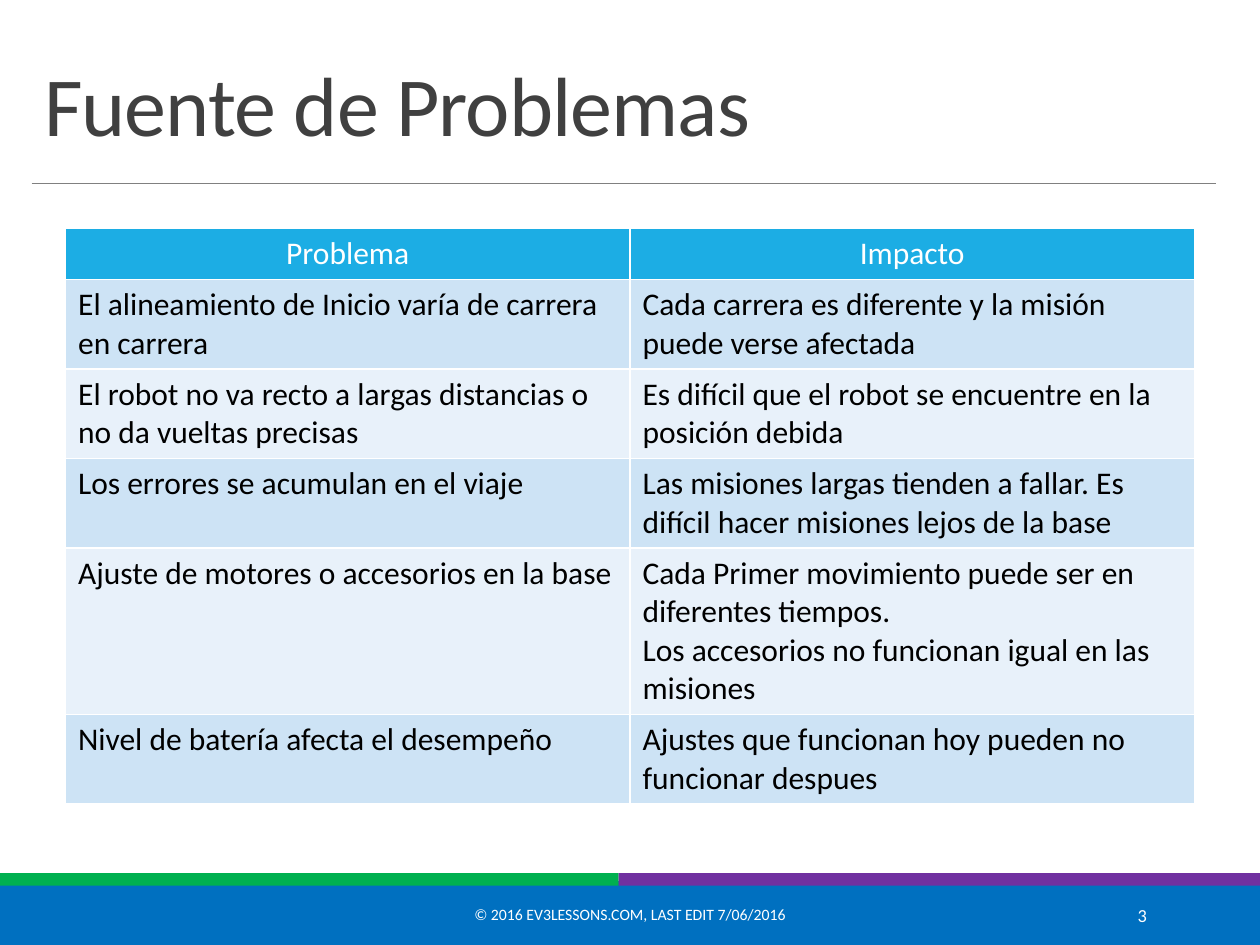
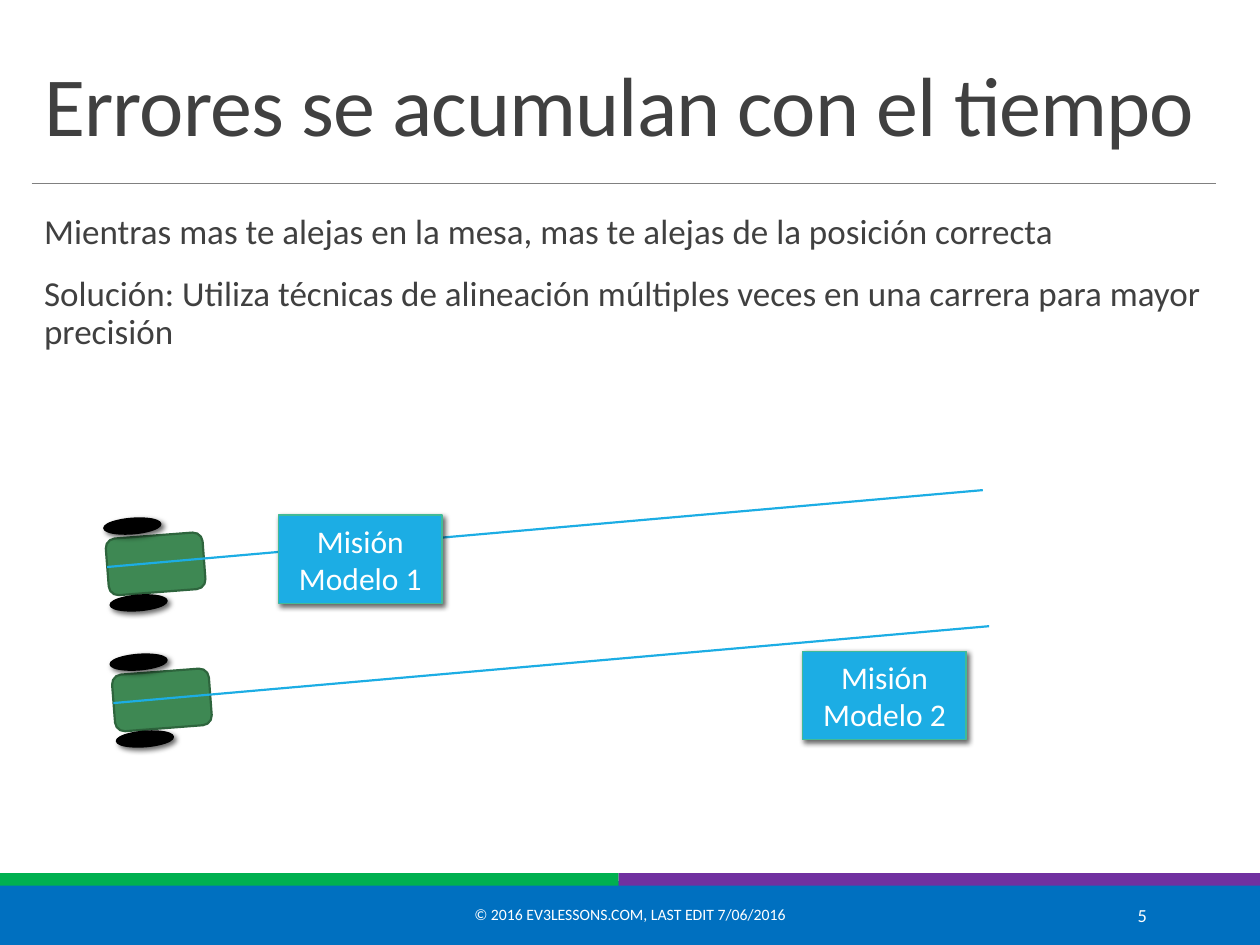
from typing import NamedTuple

from lxml import etree
from pptx import Presentation
from pptx.dml.color import RGBColor
from pptx.enum.shapes import MSO_CONNECTOR, MSO_SHAPE
from pptx.enum.text import MSO_ANCHOR, MSO_AUTO_SIZE, PP_ALIGN
from pptx.oxml.ns import qn
from pptx.util import Inches, Pt

RECT, ROUNDED, OVAL = MSO_SHAPE.RECTANGLE, MSO_SHAPE.ROUNDED_RECTANGLE, MSO_SHAPE.OVAL
STRAIGHT = MSO_CONNECTOR.STRAIGHT
LEFT, CENTER, RIGHT = PP_ALIGN.LEFT, PP_ALIGN.CENTER, PP_ALIGN.RIGHT
TOP, MIDDLE, BOTTOM = MSO_ANCHOR.TOP, MSO_ANCHOR.MIDDLE, MSO_ANCHOR.BOTTOM

WHITE = RGBColor(0xFF, 0xFF, 0xFF)
BLACK = RGBColor(0x00, 0x00, 0x00)
INK = RGBColor(0x40, 0x40, 0x40)
RULE_GREY = RGBColor(0x80, 0x80, 0x80)
FOOTER_BLUE = RGBColor(0x00, 0x70, 0xC0)
BAND_GREEN = RGBColor(0x00, 0xB0, 0x50)
BAND_PURPLE = RGBColor(0x70, 0x30, 0xA0)
SKY = RGBColor(0x1C, 0xAD, 0xE4)
ROW_DARK = RGBColor(0xCD, 0xE3, 0xF5)
ROW_LIGHT = RGBColor(0xE8, 0xF1, 0xFA)
ROBOT_GREEN = RGBColor(0x3E, 0x88, 0x53)
ROBOT_EDGE = RGBColor(0x2E, 0x65, 0x3D)
MISSION_EDGE = RGBColor(0x42, 0xBA, 0x97)

FONT = "Calibri"
COLUMNS, ROWS = 100, 75  # slide grid
CELL = Inches(0.1)
TITLE_ONLY, TITLE_AND_BODY = 5, 1
CREDIT = "© 2016 EV3LESSONS.COM, LAST EDIT 7/06/2016"


class Box(NamedTuple):
    """An area of the slide, in grid columns and rows."""
    left: float
    top: float
    width: float
    height: float

    def inner(self, left, top, width, height):
        return Box(self.left + left, self.top + top, width, height)

    def emu(self):
        return [round(cells * CELL) for cells in self]


PAGE = Box(0, 0, COLUMNS, ROWS)
TITLE_BOX = Box(2.5, 3.1, 94, 9.6)
BODY_BOX = Box(2.5, 16.5, 94, 50.9)
TABLE_BOX = Box(5.2, 18.1, 89.6, 45.6)
FOOTER_BOX = Box(0, 69.3, COLUMNS, 5.7)

PROBLEMS = [
    (4.1, "Problema", "Impacto"),
    (7.1, "El alineamiento de Inicio varía de carrera en carrera",
     "Cada carrera es diferente y la misión puede verse afectada"),
    (7.1, "El robot no va recto a largas distancias o no da vueltas precisas",
     "Es difícil que el robot se encuentre en la posición debida"),
    (7.1, "Los errores se acumulan en el viaje",
     "Las misiones largas tienden a fallar. Es difícil hacer misiones lejos de la base"),
    (13.2, "Ajuste de motores o accesorios en la base",
     "Cada Primer movimiento puede ser en diferentes tiempos.\n"
     "Los accesorios no funcionan igual en las misiones"),
    (7.1, "Nivel de batería afecta el desempeño",
     "Ajustes que funcionan hoy pueden no funcionar despues"),
]
ADVICE = [
    "Mientras mas te alejas en la mesa, mas te alejas de la posición correcta",
    "Solución: Utiliza técnicas de alineación múltiples veces en una carrera "
    "para mayor precisión",
]


def write(frame, lines, size, color, align=LEFT):
    """Fill a text frame with one paragraph per line and return the paragraphs."""
    frame.word_wrap = True
    for index, line in enumerate(lines):
        paragraph = frame.add_paragraph() if index else frame.paragraphs[0]
        paragraph.alignment = align
        run = paragraph.add_run()
        run.text = line
        run.font.name, run.font.size, run.font.bold = FONT, Pt(size), False
        run.font.color.rgb = color
    return frame.paragraphs


def place(placeholder, box, anchor):
    placeholder.left, placeholder.top, placeholder.width, placeholder.height = box.emu()
    placeholder.text_frame.auto_size = MSO_AUTO_SIZE.NONE
    placeholder.text_frame.vertical_anchor = anchor
    return placeholder.text_frame


def drop_shadow(shape):
    effects = shape._element.spPr.find(qn("a:effectLst"))
    shadow = etree.SubElement(effects, qn("a:outerShdw"), blurRad=str(Pt(3)),
                              dist=str(Pt(2)), dir=str(45 * 60000), rotWithShape="0")
    black = etree.SubElement(shadow, qn("a:srgbClr"), val=str(BLACK))
    etree.SubElement(black, qn("a:alpha"), val="60000")


def add_block(shapes, kind, box, fill, edge=None, edge_width=1.0, tilt=0, shadow=False):
    block = shapes.add_shape(kind, *box.emu())
    block.shadow.inherit = False
    block.fill.solid()
    block.fill.fore_color.rgb = fill
    block.rotation = tilt
    if edge is None:
        block.line.fill.background()
    else:
        block.line.color.rgb = edge
        block.line.width = Pt(edge_width)
    if shadow:
        drop_shadow(block)
    return block


def add_rule(slide, box, color, width, rising=False):
    """Draw a line across the box from left to right, rising or falling."""
    left, top, across, down = box.emu()
    ends = (top + down, top) if rising else (top, top + down)
    rule = slide.shapes.add_connector(STRAIGHT, left, ends[0], left + across, ends[1])
    rule.line.color.rgb = color
    rule.line.width = Pt(width)
    etree.SubElement(rule._element.spPr, qn("a:effectLst"))


def add_footer(slide, box, number):
    # Colour bands
    split = 0.491 * box.width
    add_block(slide.shapes, RECT, box.inner(0, 0.7, box.width, 5), FOOTER_BLUE, FOOTER_BLUE, 1.25)
    add_block(slide.shapes, RECT, box.inner(0, 0, split, 1), BAND_GREEN)
    add_block(slide.shapes, RECT, box.inner(split, 0, box.width - split, 1), BAND_PURPLE)
    # Credit and page number
    for text, left, width, size, align in ((CREDIT, 30.2, 39.6, 9, CENTER),
                                           (str(number), 81.2, 10.8, 10.5, RIGHT)):
        label = slide.shapes.add_textbox(*box.inner(left, 1.3, width, 4).emu())
        label.text_frame.vertical_anchor = MIDDLE
        write(label.text_frame, [text], size, WHITE, align)


def add_slide(deck, layout, title, number):
    """Start a slide with the shared title, rule and footer."""
    slide = deck.slides.add_slide(deck.slide_layouts[layout])
    slide.background.fill.solid()
    slide.background.fill.fore_color.rgb = WHITE
    add_footer(slide, FOOTER_BOX, number)
    add_rule(slide, PAGE.inner(2.5, 14.6, 94, 0), RULE_GREY, 0.5)
    heading = write(place(slide.shapes.title, TITLE_BOX, BOTTOM), [title], 48, INK)[0]
    heading.line_spacing = 0.85
    heading.runs[0].font._element.set("spc", "-50")
    return slide


def add_problem_table(slide, box):
    table = slide.shapes.add_table(len(PROBLEMS), 2, *box.emu()).table
    for column in table.columns:
        column.width = round(box.width * CELL / 2)
    for index, (height, *texts) in enumerate(PROBLEMS):
        table.rows[index].height = round(height * CELL)
        header = index == 0
        fill = SKY if header else (ROW_LIGHT, ROW_DARK)[index % 2]
        for cell, text in zip(table.rows[index].cells, texts):
            cell.fill.solid()
            cell.fill.fore_color.rgb = fill
            write(cell.text_frame, text.split("\n"), 18,
                  WHITE if header else BLACK, CENTER if header else LEFT)


def add_advice(slide, box):
    frame = place(slide.placeholders[1], box, TOP)
    frame.margin_left, frame.margin_right = CELL, 0
    for index, paragraph in enumerate(write(frame, ADVICE, 20, INK)):
        properties = paragraph._p.get_or_add_pPr()
        properties.set("marL", "0")
        properties.set("indent", "0")
        etree.SubElement(properties, qn("a:buNone"))
        paragraph.line_spacing = 0.9
        paragraph.space_before = Pt(12 if index else 0)
        paragraph.space_after = Pt(2)


def add_robot(slide, box):
    tilt = 85.6
    robot = slide.shapes.add_group_shape().shapes
    add_block(robot, ROUNDED, box.inner(0.2, 1.4, 4.5, 7.7), ROBOT_GREEN, ROBOT_EDGE, 1.25, tilt)
    for left, top in ((0, 0), (0.5, 6.1)):
        add_block(robot, OVAL, box.inner(left, top, 1.2, 4.5), BLACK, BLACK,
                  tilt=tilt, shadow=True)


def add_lane(slide, box, mission, mission_left):
    """Draw a robot, its drifting route and the mission model it aims for."""
    add_robot(slide, box.inner(1.4, 0.6, 4.7, 10.6))
    add_rule(slide, box, SKY, 1.25, rising=True)
    model = add_block(slide.shapes, RECT, box.inner(mission_left, 2, 13, 7), SKY,
                      MISSION_EDGE, shadow=True)
    model.text_frame.vertical_anchor = MIDDLE
    write(model.text_frame, [mission], 18, WHITE, CENTER)


def build_problems(deck):
    slide = add_slide(deck, TITLE_ONLY, "Fuente de Problemas", 3)
    add_problem_table(slide, TABLE_BOX)


def build_errors(deck):
    slide = add_slide(deck, TITLE_AND_BODY, "Errores se acumulan con el tiempo", 5)
    add_advice(slide, BODY_BOX)
    first_lane = Box(8.5, 38.9, 69.5, 6.1)
    for index, mission_left in enumerate((13.6, 54.7)):
        lane = first_lane.inner(0.5 * index, 10.8 * index, first_lane.width, first_lane.height)
        add_lane(slide, lane, f"Misión Modelo {index + 1}", mission_left)


def main():
    deck = Presentation()
    deck.slide_width, deck.slide_height = COLUMNS * CELL, ROWS * CELL
    build_problems(deck)
    build_errors(deck)
    deck.save("out.pptx")


if __name__ == "__main__":
    main()
